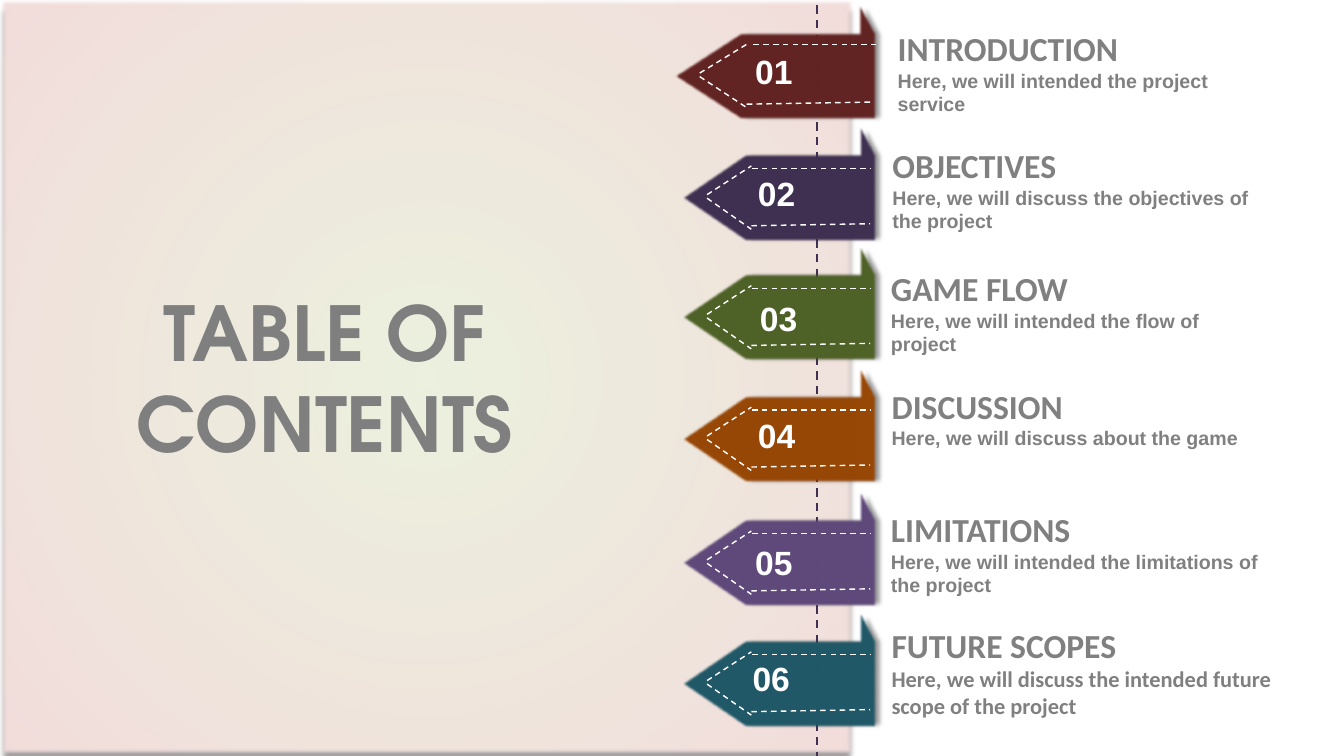
from dataclasses import dataclass

from lxml import etree
from pptx import Presentation
from pptx.dml.color import RGBColor
from pptx.enum.dml import MSO_LINE
from pptx.enum.shapes import MSO_CONNECTOR, MSO_SHAPE
from pptx.enum.text import MSO_AUTO_SIZE, PP_ALIGN
from pptx.oxml.ns import qn
from pptx.util import Pt

RECTANGLE = MSO_SHAPE.RECTANGLE
STRAIGHT = MSO_CONNECTOR.STRAIGHT
DASH = MSO_LINE.DASH
FIT_SHAPE = MSO_AUTO_SIZE.SHAPE_TO_FIT_TEXT
CENTER, LEFT = PP_ALIGN.CENTER, PP_ALIGN.LEFT

COLORS = {
    "panel_center": "EBF1DE", "panel_edge": "F2DCDB",
    "title": "7F7F7F", "entry": "808080", "white": "FFFFFF",
    "shadow": "000000", "spine": "403152",
    "maroon": "632523", "indigo": "403152", "green": "4F6228",
    "orange": "984807", "purple": "604A7B", "teal": "215968",
}

TITLE = {"size": Pt(81), "name": "TeX Gyre Adventor", "bold": True}
HEADING = {"size": Pt(36), "name": "Calibri", "bold": True}
NUMBER = {"size": Pt(36), "name": "Arial", "bold": True}
DETAIL = {"size": Pt(21), "name": "Arial", "bold": True}
LARGE_DETAIL = {"size": Pt(24), "name": "Calibri", "bold": True}

TAG_RIGHT, TAG_HEIGHT = 938.9, 131
FLAG_HEIGHT, TIP_DROP = 37.4, 84.2


@dataclass
class Box:
    left: float
    top: float
    width: float
    height: float


@dataclass
class Tag:
    """Arrow tag with its dashed stitching."""
    top: float
    color: str
    tip: float = 727.9
    shoulder: float = 797
    flag: float = 919.4
    seam_left: float = 805.7
    seam_right: float = 932.4
    seam_drop: float = 53.3


@dataclass
class Entry:
    number: str
    heading: str
    detail: str
    tag: Tag
    number_at: tuple[float, float]
    text_box: Box
    detail_style: dict


ENTRIES = [
    Entry("01", "INTRODUCTION", "Here, we will intended the project service",
          Tag(-2.9, "maroon", 720, 792, 918.7, 807.1, 938.9, 50.4),
          (802.1, 51.1), Box(954.7, 26.6, 411.1, 101.5), DETAIL),
    Entry("02", "OBJECTIVES", "Here, we will discuss the objectives of the project",
          Tag(127.4, "indigo"),
          (805, 182.2), Box(949, 151.9, 411.1, 101.5), DETAIL),
    Entry("03", "GAME FLOW", "Here, we will intended the flow of project",
          Tag(255.6, "green"),
          (807.1, 315.4), Box(947.5, 283.7, 411.1, 101.5), DETAIL),
    Entry("04", "DISCUSSION", "Here, we will discuss about the game",
          Tag(385.9, "orange"),
          (805, 441.4), Box(948.2, 409.7, 430.6, 76.3), DETAIL),
    Entry("05", "LIMITATIONS", "Here, we will intended the limitations of the project",
          Tag(518.6, "purple"),
          (802.1, 576.7), Box(947.5, 542.2, 441.4, 101.5), DETAIL),
    Entry("06", "FUTURE SCOPES",
          "Here, we will discuss the intended future scope of the project",
          Tag(648, "teal"),
          (799.2, 701.3), Box(948.2, 666, 441.4, 108.7), LARGE_DETAIL),
]


def rgb(color: str) -> RGBColor:
    return RGBColor.from_string(COLORS[color])


def add_soft_shadow(shape, distance: float, degrees: int) -> None:
    """Drop shadow plus slightly feathered edges."""
    shape.shadow.inherit = False
    effects = shape._element.spPr.find(qn("a:effectLst"))
    shadow = etree.SubElement(
        effects, qn("a:outerShdw"), blurRad=str(Pt(4)), dist=str(Pt(distance)),
        dir=str(degrees * 60000), algn="ctr", rotWithShape="0")
    tint = etree.SubElement(shadow, qn("a:srgbClr"), val=COLORS["shadow"])
    etree.SubElement(tint, qn("a:alpha"), val="40000")
    etree.SubElement(effects, qn("a:softEdge"), rad=str(Pt(2.5)))


def add_panel(shapes, box: Box) -> None:
    panel = shapes.add_shape(RECTANGLE, Pt(box.left), Pt(box.top),
                             Pt(box.width), Pt(box.height))
    panel.line.fill.background()
    panel.fill.gradient()
    for stop, color in zip(panel.fill.gradient_stops, ("panel_center", "panel_edge")):
        stop.color.rgb = rgb(color)
    # Turn the linear gradient into a circular one
    gradient = panel._element.spPr.find(qn("a:gradFill"))
    gradient.remove(gradient.find(qn("a:lin")))
    circle = etree.SubElement(gradient, qn("a:path"), path="circle")
    etree.SubElement(circle, qn("a:fillToRect"),
                     l="50000", t="50000", r="50000", b="50000")
    add_soft_shadow(panel, 8, 90)


def add_dashed_line(shapes, start: tuple[float, float], end: tuple[float, float],
                    color: str, width: float) -> None:
    line = shapes.add_connector(STRAIGHT, *(Pt(v) for v in (*start, *end)))
    line.line.color.rgb = rgb(color)
    line.line.width = Pt(width)
    line.line.dash_style = DASH
    etree.SubElement(line._element.spPr, qn("a:effectLst"))


def add_tag(shapes, tag: Tag) -> None:
    group = shapes.add_group_shape().shapes
    body, tip_y, bottom = (tag.top + d for d in (FLAG_HEIGHT, TIP_DROP, TAG_HEIGHT))
    outline = [(TAG_RIGHT, body), (TAG_RIGHT, bottom), (tag.shoulder, bottom),
               (tag.tip, tip_y), (tag.shoulder, body), (tag.flag, body)]
    builder = group.build_freeform(Pt(tag.flag), Pt(tag.top))
    builder.add_line_segments([(Pt(x), Pt(y)) for x, y in outline], close=True)
    arrow = builder.convert_to_shape()
    arrow.fill.solid()
    arrow.fill.fore_color.rgb = rgb(tag.color)
    arrow.line.fill.background()
    add_soft_shadow(arrow, 6, 0)

    # Stitching: top, bottom, lower and upper diagonal
    inner_tip, inner_shoulder = tag.tip + 29.7, tag.shoulder + 8
    stitches = [
        ((tag.seam_left, tag.seam_drop), (tag.seam_right, tag.seam_drop)),
        ((inner_shoulder, 114.5), (932.4, 112.3)),
        ((inner_tip, 85), (inner_shoulder, 118.2)),
        ((inner_tip, 81.2), (inner_shoulder, 50.4)),
    ]
    for (x1, y1), (x2, y2) in stitches:
        add_dashed_line(group, (x1, tag.top + y1), (x2, tag.top + y2), "white", 1.5)


def add_text(shapes, box: Box, lines: list[tuple[str, dict]], color: str,
             align=LEFT) -> None:
    frame = shapes.add_textbox(Pt(box.left), Pt(box.top),
                               Pt(box.width), Pt(box.height)).text_frame
    frame.word_wrap = True
    frame.auto_size = FIT_SHAPE
    for index, (text, style) in enumerate(lines):
        paragraph = frame.add_paragraph() if index else frame.paragraphs[0]
        paragraph.alignment = align
        run = paragraph.add_run()
        run.text = text
        for attribute, value in style.items():
            setattr(run.font, attribute, value)
        run.font.color.rgb = rgb(color)


def main() -> None:
    deck = Presentation()
    deck.slide_width, deck.slide_height = Pt(1440), Pt(810)
    shapes = deck.slides.add_slide(deck.slide_layouts[6]).shapes

    # Left panel with title, and the dashed spine
    add_panel(shapes, Box(0, 0, 915.8, 810))
    add_text(shapes, Box(58.3, 303.1, 579.6, 203.8),
             [("TABLE OF CONTENTS", TITLE)], "title", CENTER)
    add_dashed_line(shapes, (875.5, 5.8), (875.5, 810), "spine", 2.25)

    # Contents entries
    for entry in ENTRIES:
        add_tag(shapes, entry.tag)
        add_text(shapes, Box(*entry.number_at, 76.3, 51.1),
                 [(entry.number, NUMBER)], "white")
        add_text(shapes, entry.text_box,
                 [(entry.heading, HEADING), (entry.detail, entry.detail_style)], "entry")

    deck.save("out.pptx")


if __name__ == "__main__":
    main()
